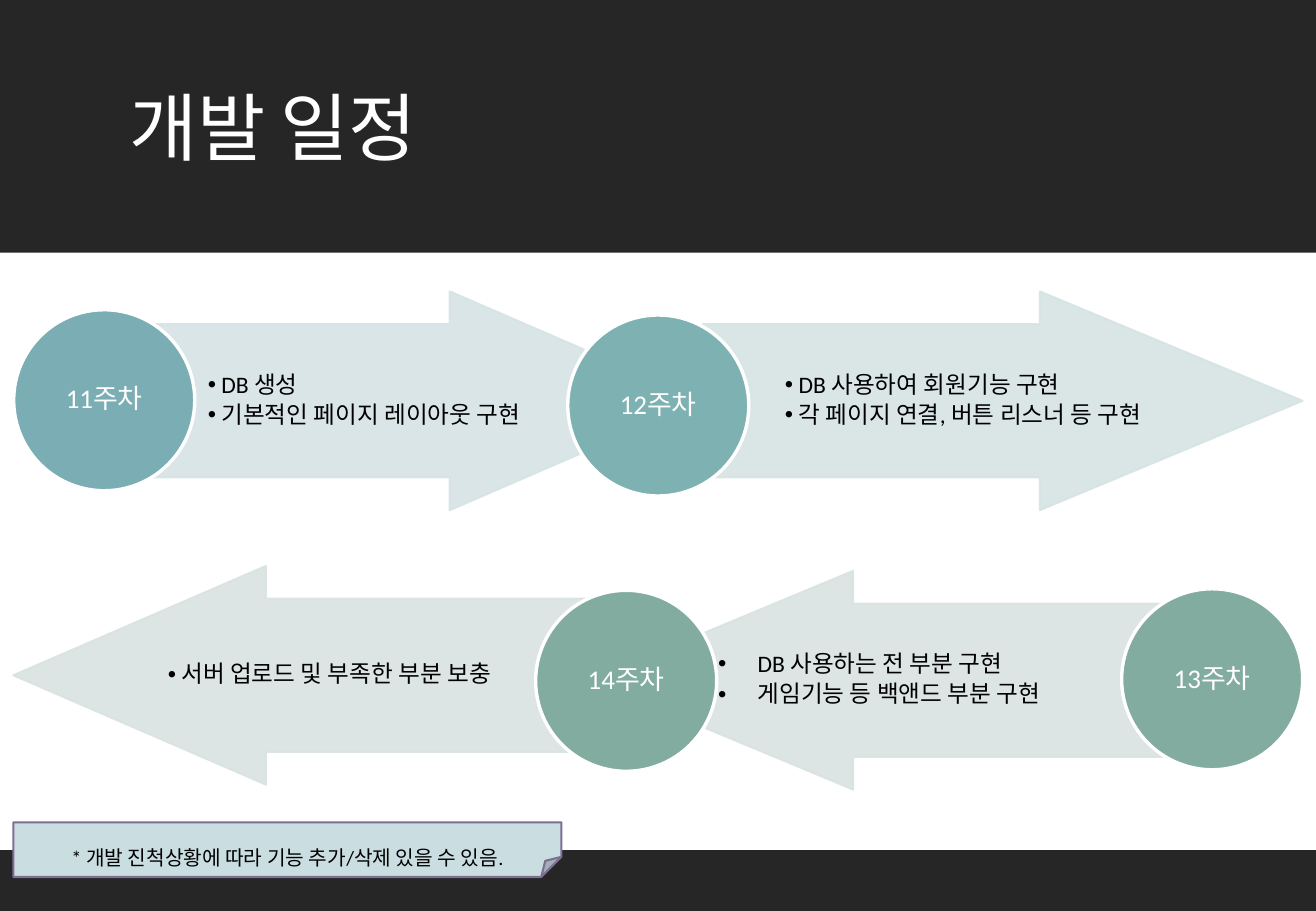
"""Build the development schedule slide with four weekly arrows."""
import dataclasses
import typing

import lxml.etree
import pptx
import pptx.dml.color
import pptx.enum.shapes
import pptx.enum.text
import pptx.oxml.ns
import pptx.util

SHAPE = pptx.enum.shapes.MSO_SHAPE
ALIGN = pptx.enum.text.PP_ALIGN
MIDDLE = pptx.enum.text.MSO_ANCHOR.MIDDLE
qn = pptx.oxml.ns.qn
FONT = "Calibri"
COLORS = {
    "dark": "262626", "white": "FFFFFF", "black": "000000",
    "note": "CADEE1", "note_line": "7D6F92",
    "arrow11": "D7E3E5", "arrow12": "D7E4E4", "arrow13": "D9E3E0", "arrow14": "D9E3E0",
    "week11": "7BADB5", "week12": "7EB2B2", "week13": "83ACA1", "week14": "83ACA1",
}
ARROW_OUTLINE = [(0, 0.15), (0.5625, 0.15), (0.5625, 0), (1, 0.5),
                 (0.5625, 1), (0.5625, 0.85), (0, 0.85)]
ARROW_HEIGHT = 24
CIRCLE_WIDTH = 13.76


@dataclasses.dataclass
class Week:
    """A week's circle and arrow, placed in percent of the slide's size."""

    number: int
    arrow_left: float
    arrow_top: float
    arrow_width: float
    circle_left: float
    circle_top: float
    tasks: list[str]
    points_left: bool = False
    margin: float = 0.2
    indent: float = -0.06


WEEKS = [
    Week(11, 9.51, 32, 43.86, 1.04, 34, ["DB 생성", "기본적인 페이지 레이아웃 구현"]),
    Week(12, 53.37, 32, 45.61, 43.14, 34.58,
         ["DB 사용하여 회원기능 구현", "각 페이지 연결, 버튼 리스너 등 구현"]),
    Week(13, 44.88, 62.67, 45.61, 85.23, 64.63,
         ["DB 사용하는 전 부분 구현", "게임기능 등 백앤드 부분 구현"], True, 0.79, -0.28),
    Week(14, 1.02, 62.13, 43.86, 40.7, 64.8, ["서버 업로드 및 부족한 부분 보충"], True, 0.79),
]

prs = pptx.Presentation()
prs.slide_width = pptx.util.Inches(10.83)
prs.slide_height = pptx.util.Inches(7.5)
s = prs.slides.add_slide(prs.slide_layouts[6])


def x(percent: float) -> int:
    """Return a share of the slide's width."""
    return round(prs.slide_width * percent / 100)


def y(percent: float) -> int:
    """Return a share of the slide's height."""
    return round(prs.slide_height * percent / 100)


def rgb(name: str) -> pptx.dml.color.RGBColor:
    """Return a named colour."""
    return pptx.dml.color.RGBColor.from_string(COLORS[name])


def paint(sp: typing.Any, fill: str, line: str | None = None, width: float = 1.25) -> None:
    """Set a shape's fill and outline and drop its shadow."""
    sp.shadow.inherit = False
    sp.fill.solid()
    sp.fill.fore_color.rgb = rgb(fill)
    if line is None:
        sp.line.fill.background()
    else:
        sp.line.color.rgb = rgb(line)
        sp.line.width = pptx.util.Pt(width)


def write(sp: typing.Any, lines: list[str], size: float, color: str, align: typing.Any,
          spacing: float, after: float = 0) -> typing.Any:
    """Write formatted paragraphs, centred vertically, and return the text frame."""
    tf = sp.text_frame
    tf.text = "\n".join(lines)
    tf.word_wrap = True
    tf.vertical_anchor = MIDDLE
    for p in tf.paragraphs:
        p.alignment = align
        p.line_spacing = spacing
        p.space_after = pptx.util.Pt(after)
        for r in p.runs:
            r.font.name = FONT
            r.font.size = pptx.util.Pt(size)
            r.font.color.rgb = rgb(color)
    return tf


def set_margins(tf: typing.Any, left: float, top: float) -> None:
    """Set equal side margins and equal top and bottom margins in inches."""
    tf.margin_left = tf.margin_right = pptx.util.Inches(left)
    tf.margin_top = tf.margin_bottom = pptx.util.Inches(top)


def add_band(top: float, height: float) -> None:
    """Draw a dark band across the slide."""
    paint(s.shapes.add_shape(SHAPE.RECTANGLE, 0, y(top), x(100), y(height)), "dark")


def add_arrow(week: Week) -> None:
    """Draw a week's translucent arrow with its bulleted tasks."""
    points = [(x(week.arrow_left + week.arrow_width * (1 - across if week.points_left else across)),
               y(week.arrow_top + ARROW_HEIGHT * down)) for across, down in ARROW_OUTLINE]
    builder = s.shapes.build_freeform(*points[0])
    builder.add_line_segments(points[1:], close=True)
    sp = builder.convert_to_shape()
    paint(sp, f"arrow{week.number}", f"arrow{week.number}")
    for color in sp._element.spPr.iter(qn("a:srgbClr")):
        lxml.etree.SubElement(color, qn("a:alpha"), val="90000")
    tf = write(sp, [f" {task}" for task in week.tasks], 14, "black", ALIGN.LEFT, 0.9, 2.7)
    set_margins(tf, 0.54, 0.28)
    for p in tf.paragraphs:
        pPr = p._p.get_or_add_pPr()
        pPr.set("marL", str(pptx.util.Inches(week.margin)))
        pPr.set("indent", str(pptx.util.Inches(week.indent)))
        lxml.etree.SubElement(pPr, qn("a:buFont"), typeface="Arial")
        lxml.etree.SubElement(pPr, qn("a:buChar"), char="•")


def add_circle(week: Week) -> None:
    """Draw the circle that names a week."""
    size = x(CIRCLE_WIDTH)
    sp = s.shapes.add_shape(SHAPE.OVAL, x(week.circle_left), y(week.circle_top), size, size)
    paint(sp, f"week{week.number}", "white", 2)
    set_margins(write(sp, [f"{week.number}주차"], 16, "white", ALIGN.CENTER, 0.9), 0, 0)


add_band(0, 27.73)
title = s.shapes.add_textbox(x(8.96), y(4.13), x(82.55), y(21.2))
tf = write(title, ["개발 일정"], 43.9, "white", ALIGN.LEFT, 0.8)
tf.paragraphs[0].runs[0].font._element.set("spc", "-40")
add_band(93.33, 6.67)

for week in WEEKS:
    add_arrow(week)
    add_circle(week)

note = s.shapes.add_shape(SHAPE.FOLDED_CORNER, x(1.02), y(90.27), x(41.64), y(6))
guides = note._element.spPr.find(qn("a:prstGeom")).get_or_add_avLst()
lxml.etree.SubElement(guides, qn("a:gd"), name="adj", fmla="val 36800")
paint(note, "note", "note_line")
write(note, ["* 개발 진척상황에 따라 기능 추가/삭제 있을 수 있음."], 12, "black", ALIGN.CENTER, 2.5)

prs.save("out.pptx")
